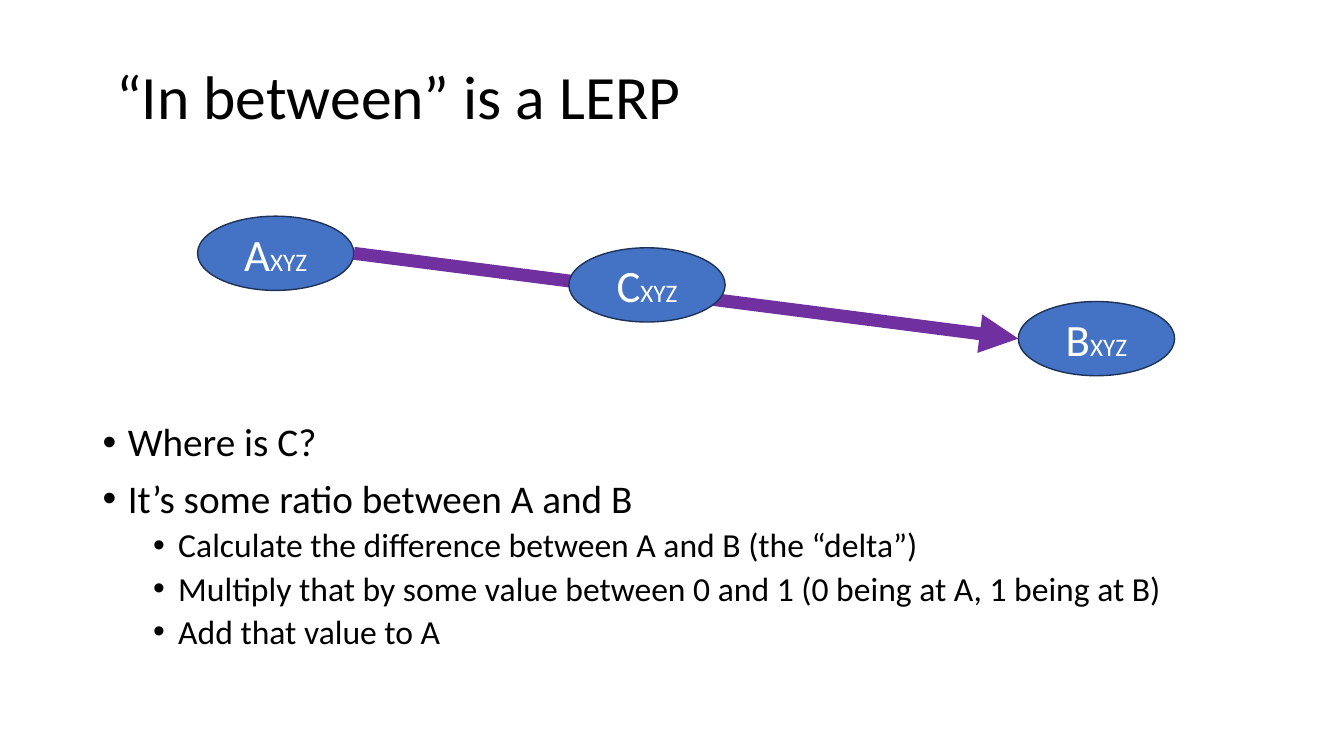
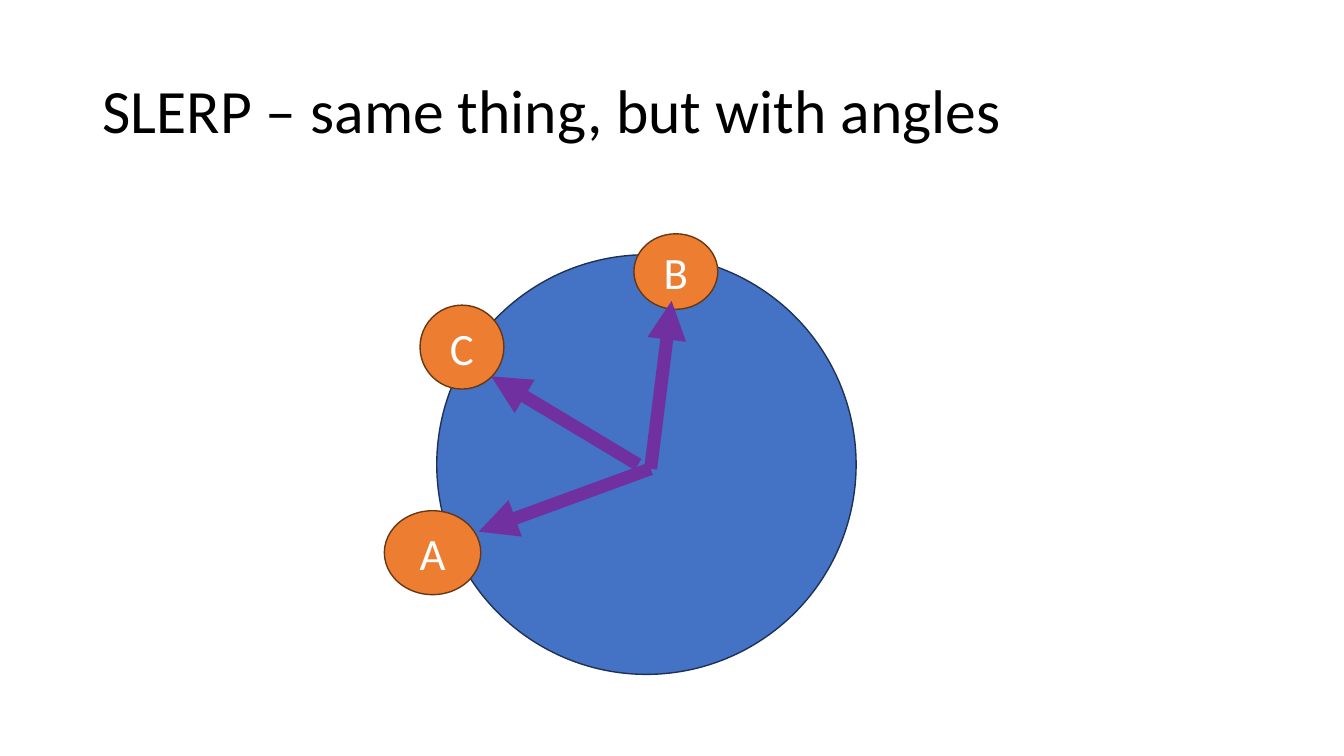
from dataclasses import dataclass

from lxml import etree
from pptx import Presentation
from pptx.dml.color import RGBColor
from pptx.enum.shapes import MSO_CONNECTOR, MSO_SHAPE
from pptx.enum.text import MSO_ANCHOR, PP_ALIGN
from pptx.oxml.ns import qn
from pptx.util import Inches, Pt

OVAL = MSO_SHAPE.OVAL
STRAIGHT = MSO_CONNECTOR.STRAIGHT
MIDDLE = MSO_ANCHOR.MIDDLE
CENTER = PP_ALIGN.CENTER

SLIDE_WIDTH, SLIDE_HEIGHT = Inches(13.33), Inches(7.5)
FONT = "Calibri"
BLACK, WHITE, PURPLE = "000000", "FFFFFF", "7030A0"
BLUE = ("4472C4", "1E3256")  # fill, outline
ORANGE = ("ED7D31", "683715")
TITLE_SIZE, LABEL_SIZE, SUFFIX_SIZE = 44, 32, 18
BULLET_STYLES = [(28, 0.25, 10), (24, 0.75, 5)]  # size, indent, space before


@dataclass
class Box:
    left: float
    top: float
    width: float
    height: float

    def point(self, across, down):
        """Position at the given shares of the box."""
        return self.left + across * self.width, self.top + down * self.height

    def centred(self, across, down, width, height):
        """Inner box from shares: its centre and its size."""
        return Box(*self.point(across - width / 2, down - height / 2),
                   width * self.width, height * self.height)

    def edges(self):
        return [round(v) for v in (self.left, self.top, self.width, self.height)]


def slide_box(left, top, width, height):
    """Box given in percent of the slide's size."""
    return Box(left * SLIDE_WIDTH / 100, top * SLIDE_HEIGHT / 100,
               width * SLIDE_WIDTH / 100, height * SLIDE_HEIGHT / 100)


def color(hex_string):
    return RGBColor.from_string(hex_string)


def style_font(font, size, hex_string):
    font.name, font.size = FONT, Pt(size)
    font.color.rgb = color(hex_string)


def add_text_frame(slide, box):
    frame = slide.shapes.add_textbox(*box.edges()).text_frame
    frame.word_wrap = True
    return frame


def add_title(slide, box, text):
    frame = add_text_frame(slide, box)
    frame.vertical_anchor = MIDDLE
    paragraph = frame.paragraphs[0]
    paragraph.text = text
    paragraph.line_spacing = 0.9
    style_font(paragraph.font, TITLE_SIZE, BLACK)


def add_bullets(slide, box, items):
    frame = add_text_frame(slide, box)
    for index, (level, text) in enumerate(items):
        paragraph = frame.add_paragraph() if index else frame.paragraphs[0]
        size, indent, space_before = BULLET_STYLES[level]
        paragraph.text = text
        paragraph.level = level
        paragraph.line_spacing = 0.9
        paragraph.space_before = Pt(space_before)
        style_font(paragraph.font, size, BLACK)
        # Hanging bullet, placed before the default run properties
        properties = paragraph._p.get_or_add_pPr()
        properties.set("marL", str(Inches(indent)))
        properties.set("indent", str(-Inches(0.25)))
        defaults = properties.find(qn("a:defRPr"))
        for tag, name, value in (("a:buFont", "typeface", "Arial"),
                                 ("a:buChar", "char", "•")):
            bullet = etree.Element(qn(tag))
            bullet.set(name, value)
            defaults.addprevious(bullet)


def add_oval(slide, box, colors, label="", suffix=""):
    shape = slide.shapes.add_shape(OVAL, *box.edges())
    shape.shadow.inherit = False
    fill, outline = colors
    shape.fill.solid()
    shape.fill.fore_color.rgb = color(fill)
    shape.line.color.rgb = color(outline)
    shape.line.width = Pt(1)
    shape.text_frame.vertical_anchor = MIDDLE
    paragraph = shape.text_frame.paragraphs[0]
    paragraph.alignment = CENTER
    for text, size in ((label, LABEL_SIZE), (suffix, SUFFIX_SIZE)):
        if text:
            run = paragraph.add_run()
            run.text = text
            style_font(run.font, size, WHITE)


def add_arrow(slide, start, end):
    connector = slide.shapes.add_connector(
        STRAIGHT, *(round(v) for v in (*start, *end)))
    connector.line.color.rgb = color(PURPLE)
    connector.line.width = Pt(9.25)
    head = etree.SubElement(connector.line._get_or_add_ln(), qn("a:tailEnd"))
    head.set("type", "triangle")
    etree.SubElement(connector._element.spPr, qn("a:effectLst"))


def add_lerp_diagram(slide, box):
    """Point C on the straight arrow from A to B."""
    size = (0.16, 0.47)
    a, b, c = (box.centred(*centre, *size)
               for centre in ((0.08, 0.23), (0.92, 0.77), (0.46, 0.43)))
    add_oval(slide, a, BLUE, "A", "XYZ")
    add_oval(slide, b, BLUE, "B", "XYZ")
    add_arrow(slide, a.point(1, 0.5), b.point(0, 0.5))
    add_oval(slide, c, BLUE, "C", "XYZ")


def add_slerp_diagram(slide, box):
    """Points on a circle, with arrows from its centre."""
    add_oval(slide, box, BLUE)
    # Label, then centre and size
    for label, *place in (("A", -0.01, 0.71, 0.23, 0.2),
                          ("B", 0.57, 0.04, 0.2, 0.18),
                          ("C", 0.06, 0.22, 0.2, 0.2)):
        add_oval(slide, box.centred(*place), ORANGE, label)
    for start, end in (((0.51, 0.51), (0.1, 0.66)),
                       ((0.51, 0.51), (0.56, 0.11)),
                       ((0.48, 0.5), (0.13, 0.29))):
        add_arrow(slide, box.point(*start), box.point(*end))


def build_lerp_slide(slide):
    add_bullets(slide, slide_box(6.9, 55.3, 86.3, 34.8), [
        (0, "Where is C?"),
        (0, "It’s some ratio between A and B"),
        (1, "Calculate the difference between A and B (the “delta”)"),
        (1, "Multiply that by some value between 0 and 1 "
            "(0 being at A, 1 being at B)"),
        (1, "Add that value to A"),
    ])
    add_title(slide, slide_box(7.9, 3.5, 86.3, 19.3), "“In between” is a LERP")
    add_lerp_diagram(slide, slide_box(14.7, 28.7, 72.7, 20.9))


def build_slerp_slide(slide):
    add_title(slide, slide_box(6.9, 5.3, 86.3, 19.3),
              "SLERP – same thing, but with angles")
    add_slerp_diagram(slide, slide_box(32.5, 33.7, 31.2, 55.5))


def main():
    presentation = Presentation()
    presentation.slide_width = SLIDE_WIDTH
    presentation.slide_height = SLIDE_HEIGHT
    blank = presentation.slide_layouts[6]
    for build in (build_lerp_slide, build_slerp_slide):
        build(presentation.slides.add_slide(blank))
    presentation.save("out.pptx")


if __name__ == "__main__":
    main()
